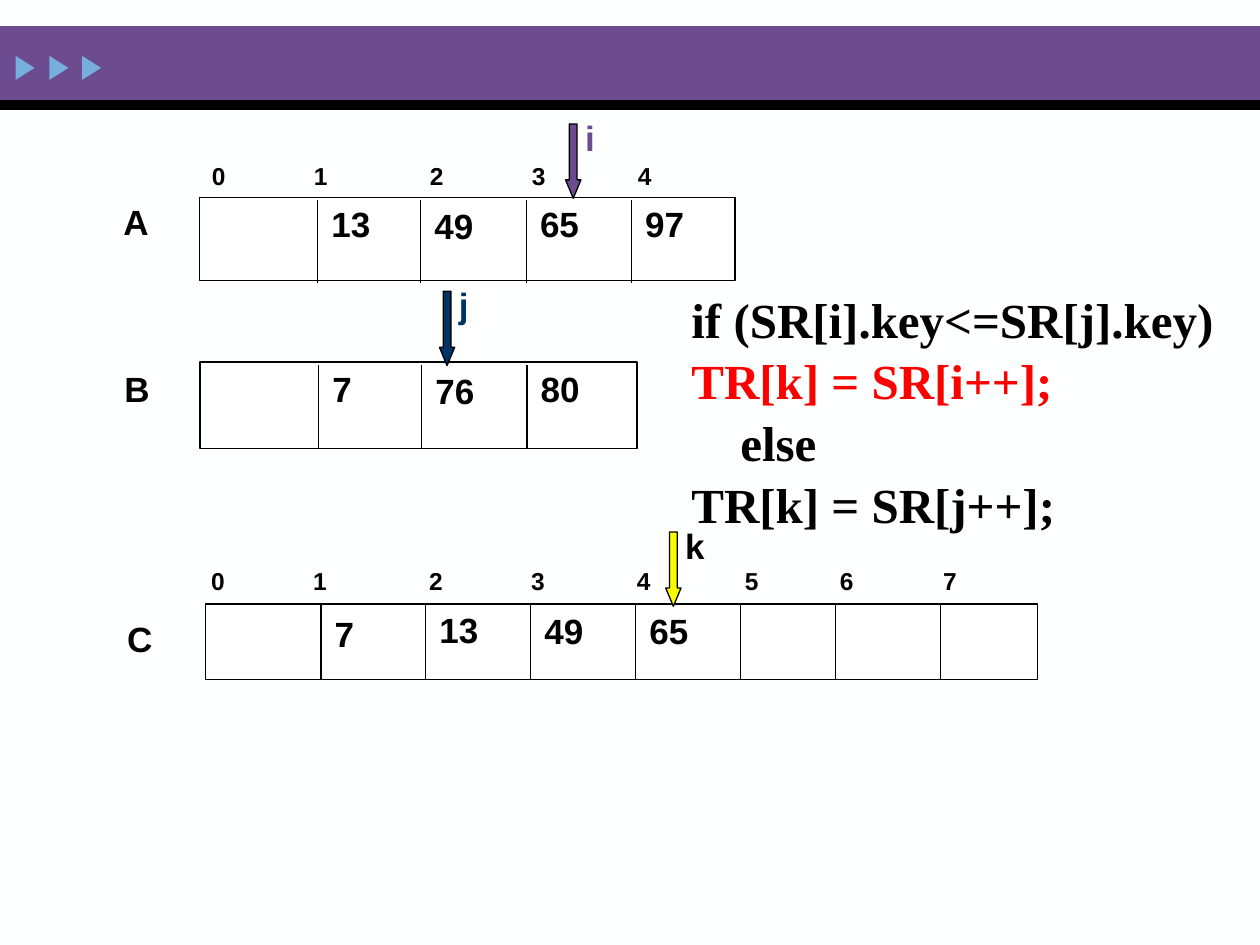
from lxml.etree import SubElement
from pptx import Presentation
from pptx.dml.color import RGBColor
from pptx.enum.shapes import MSO_CONNECTOR as Connector, MSO_SHAPE as Preset
from pptx.oxml.ns import qn
from pptx.util import Pt

BLACK = "000000"
WHITE = "FFFFFF"
PURPLE = "6C4C8F"
NAVY = "003366"
YELLOW = "FAFD00"
RED = "FF0000"
INDEX_STOPS = [58.3, 124.6, 182.9, 243.4, 305.1, 359.4, 418.3]


def paint(color_holder, color):
    color_holder.solid()
    color_holder.fore_color.rgb = RGBColor.from_string(color)


def add_block(slide, preset, left, top, width, height, color, outlined=False):
    block = slide.shapes.add_shape(preset, Pt(left), Pt(top), Pt(width), Pt(height))
    block.shadow.inherit = False
    paint(block.fill, color)
    if outlined:
        paint(block.line.fill, BLACK)
        block.line.width = Pt(0.75)
    else:
        block.line.fill.background()
    return block


def add_divider(slide, x, top, height):
    divider = slide.shapes.add_connector(
        Connector.STRAIGHT, Pt(x), Pt(top), Pt(x), Pt(top + height))
    paint(divider.line.fill, BLACK)
    divider.line.width = Pt(0.75)
    SubElement(divider._element.spPr, qn("a:effectLst"))


def style_runs(paragraph, size, color, font):
    for run in paragraph.runs:
        run.font.name = font
        run.font.size = Pt(size)
        run.font.bold = True
        run.font.color.rgb = RGBColor.from_string(color)


def add_label(slide, text, left, top, width=48, height=31, size=20, color=BLACK):
    label = slide.shapes.add_textbox(Pt(left), Pt(top), Pt(width), Pt(height))
    label.text_frame.word_wrap = True
    paragraph = label.text_frame.paragraphs[0]
    paragraph.text = text
    style_runs(paragraph, size, color, "Arial")
    return paragraph


def add_indices(slide, count, left, top, width):
    indices = add_label(slide, "\t".join(map(str, range(count))),
                        left, top, width, 24, size=14)
    tab_list = SubElement(indices._p.get_or_add_pPr(), qn("a:tabLst"))
    for stop in INDEX_STOPS[:count - 1]:
        SubElement(tab_list, qn("a:tab"), pos=str(int(Pt(stop))), algn="l")


def add_array(slide, name, name_at, frame, divider_top, divider_height, cells):
    add_block(slide, Preset.RECTANGLE, *frame, WHITE, outlined=True)
    add_label(slide, name, *name_at)
    for x, value, value_top in cells:
        add_divider(slide, x, divider_top, divider_height)
        if value:
            add_label(slide, value, x + 0.7, value_top)


def add_pointer(slide, name, left, top, color, name_color):
    arrow = add_block(slide, Preset.DOWN_ARROW, left, top, 8.8, 42.5, color, outlined=True)
    arrow.adjustments[0] = 0.5
    arrow.adjustments[1] = 1.194
    add_label(slide, name, left + 4, top - 8, 38, color=name_color)


def add_code(slide, lines, left, top, width, height):
    code = slide.shapes.add_textbox(Pt(left), Pt(top), Pt(width), Pt(height))
    frame = code.text_frame
    frame.word_wrap = True
    for number, (text, color, indent) in enumerate(lines):
        paragraph = frame.add_paragraph() if number else frame.paragraphs[0]
        paragraph.text = text
        paragraph.line_spacing = 1.05
        if indent:
            paragraph._p.get_or_add_pPr().set("marL", str(int(Pt(indent))))
        style_runs(paragraph, 28, color, "Times New Roman")


def add_banner(slide):
    add_block(slide, Preset.RECTANGLE, 0, 15, 720, 42.5, PURPLE)
    add_block(slide, Preset.RECTANGLE, 0, 57.3, 720, 5.6, BLACK)
    for left in (7.5, 26.8, 45.5):
        marker = add_block(slide, Preset.ISOSCELES_TRIANGLE, left, 33.4, 13.7, 10.8, "76AEDD")
        marker.rotation = 90


def main():
    deck = Presentation()
    deck.slide_width, deck.slide_height = Pt(720), Pt(540)
    slide = deck.slides.add_slide(deck.slide_layouts[6])
    paint(slide.background.fill, "FEFFFF")

    add_banner(slide)
    add_indices(slide, 5, 114, 88.6, 306)
    add_array(slide, "A", (63.4, 110.9), (114, 113, 306, 47.3), 114.3, 47.5,
              [(181.6, "13", 112.3), (240.4, "49", 113.3),
               (300.8, "65", 112.3), (360.8, "97", 112.3)])
    add_array(slide, "B", (64, 206.6), (114.3, 206.9, 249.7, 49.4), 208.5, 47.5,
              [(182.2, "7", 206.6), (241, "76", 207.4), (301.2, "80", 206.6)])
    add_indices(slide, 8, 113.5, 319.7, 480)
    add_array(slide, "C", (65.5, 349.2), (117.4, 345.1, 475.6, 43.3), 345.1, 43.7,
              [(183.4, "7", 346.5), (243.3, "13", 344.2), (303.3, "49", 344.9),
               (363.3, "65", 344.9), (423.3, "", 0), (477.4, "", 0), (537.3, "", 0)])
    add_pointer(slide, "i", 323.2, 70.8, PURPLE, PURPLE)
    add_pointer(slide, "j", 251.1, 166.4, NAVY, NAVY)
    add_pointer(slide, "k", 380.4, 304, YELLOW, BLACK)
    add_code(slide, [("if (SR[i].key<=SR[j].key)", BLACK, 0),
                     ("TR[k] = SR[i++];", RED, 0),
                     ("else", BLACK, 28),
                     ("TR[k] = SR[j++];", BLACK, 0)], 388, 160, 331, 156)
    deck.save("out.pptx")


if __name__ == "__main__":
    main()
